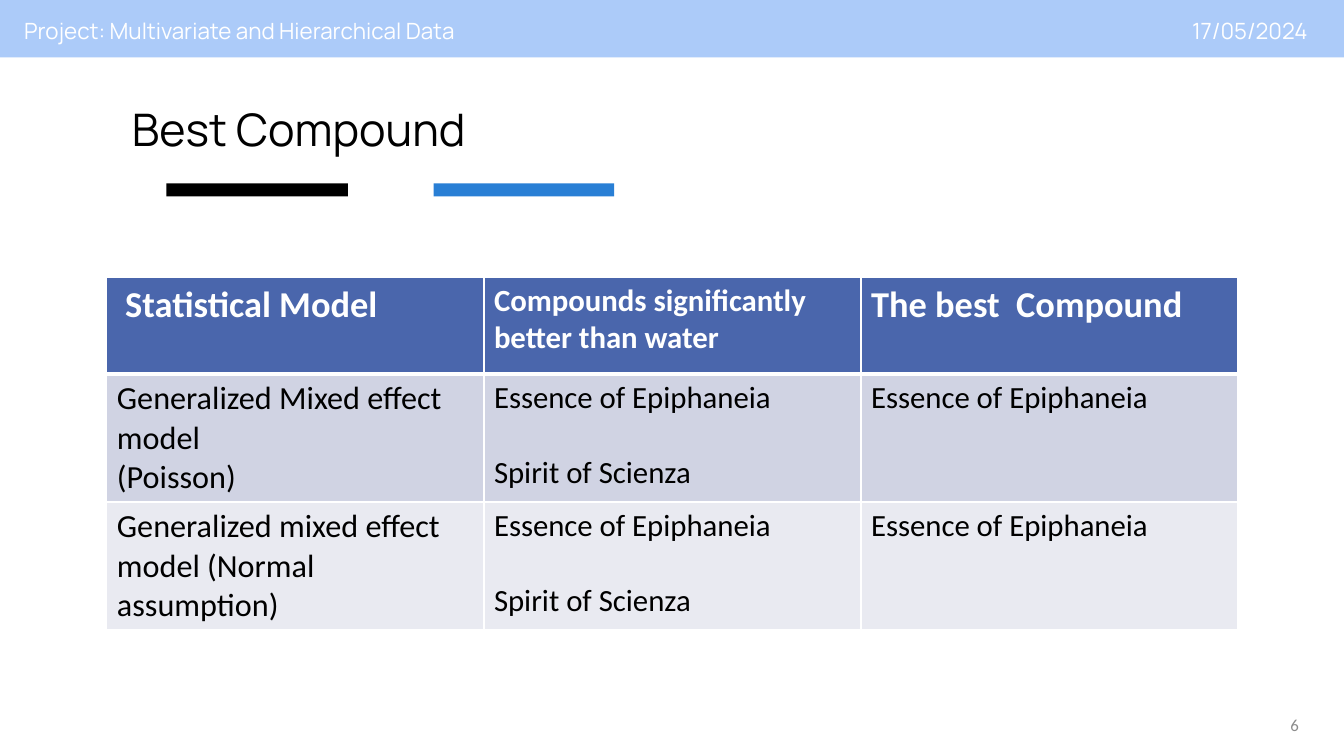
from lxml import etree
from pptx import Presentation
from pptx.dml.color import RGBColor
from pptx.enum.shapes import MSO_SHAPE as Shape
from pptx.enum.text import MSO_ANCHOR as Anchor, PP_ALIGN as Align
from pptx.oxml.ns import qn
from pptx.util import Inches, Pt

BARS = [
    (0, 0, 13.33, 0.57, "ACCBF9"),
    (4.3, 1.82, 1.79, 0.13, "297FD5"),
    (1.65, 1.82, 1.8, 0.13, "000000"),
]
TEXTS = [
    ("Project: Multivariate and Hierarchical Data\t17/05/2024", (0.11, 0.03, 13.33, 0.54), 0.13,
     {"size": 16, "name": "Manrope", "color": "FFFFFF"}, {}),
    ("Best Compound", (1.21, 0.77, 11.21, 1.08), 0.1,
     {"size": 32, "name": "Manrope", "color": "000000"}, {"line_spacing": 0.9}),
    ("6", (12.18, 6.91, 0.8, 0.57), 0.1,
     {"size": 12, "name": "Calibri", "color": "8C8C8C"}, {"alignment": Align.RIGHT}),
]
DATE_TAB = 12.73

TABLE_PLACE = (1.06, 2.75, 11.21, 3.46)
COLUMN_WIDTH = 3.74
ROW_HEIGHTS = [0.96, 1.27, 1.27]
ROW_FILLS = ["4A66AC", "D0D3E3", "E9EAF1"]
ROW_SIZES = [(26, 22, 26), (23, 22, 22), (23, 22, 22)]
COMPOUND_GAP = 27
ROWS = [
    [[" Statistical Model"], ["Compounds significantly better than water"], ["The best  Compound"]],
    [["Generalized Mixed effect model", "(Poisson)"],
     ["Essence of Epiphaneia", "Spirit of Scienza"], ["Essence of Epiphaneia"]],
    [["Generalized mixed effect model (Normal assumption)"],
     ["Essence of Epiphaneia", "Spirit of Scienza"], ["Essence of Epiphaneia"]],
]


def paint(color_format, code):
    color_format.rgb = RGBColor.from_string(code)


def fill_solid(item, code):
    item.fill.solid()
    paint(item.fill.fore_color, code)


def write(para, text, style):
    span = para.add_run()
    span.text = text
    values = dict(style, size=Pt(style["size"]))
    paint(span.font.color, values.pop("color"))
    for name, value in values.items():
        setattr(span.font, name, value)


def add_bar(page, left, top, width, height, code):
    bar = page.shapes.add_shape(Shape.RECTANGLE, *map(Inches, (left, top, width, height)))
    bar.shadow.inherit = False
    fill_solid(bar, code)
    bar.line.fill.background()


def add_text(page, text, place, inset, style, layout):
    box = page.shapes.add_textbox(*map(Inches, place))
    frame = box.text_frame
    settings = {"word_wrap": True, "vertical_anchor": Anchor.MIDDLE}
    settings.update({f"margin_{side}": Inches(inset) for side in ("left", "top", "right", "bottom")})
    for name, value in settings.items():
        setattr(frame, name, value)
    para = frame.paragraphs[0]
    for name, value in layout.items():
        setattr(para, name, value)
    if "\t" in text:
        tabs = etree.SubElement(para._p.get_or_add_pPr(), qn("a:tabLst"))
        etree.SubElement(tabs, qn("a:tab"), pos=str(Inches(DATE_TAB)), algn="r")
    write(para, text, style)


def add_borders(cell, widths):
    properties = cell._tc.get_or_add_tcPr()
    for index, (side, width) in enumerate(widths.items()):
        line = etree.Element(qn(f"a:ln{side}"), w=str(Pt(width)))
        solid = etree.SubElement(line, qn("a:solidFill"))
        etree.SubElement(solid, qn("a:srgbClr"), val="FFFFFF")
        properties.insert(index, line)


def add_models_table(page):
    frame = page.shapes.add_table(len(ROWS), len(ROWS[0]), *map(Inches, TABLE_PLACE))
    table = frame.table
    table.horz_banding = False
    for column in table.columns:
        column.width = Inches(COLUMN_WIDTH)
    for row, height in enumerate(ROW_HEIGHTS):
        table.rows[row].height = Inches(height)
        header = row == 0
        borders = {"L": 1, "R": 1, "T": 3 if row == 1 else 1, "B": 3 if header else 1}
        for column, lines in enumerate(ROWS[row]):
            cell = table.cell(row, column)
            fill_solid(cell, ROW_FILLS[row])
            add_borders(cell, borders)
            style = {"size": ROW_SIZES[row][column], "name": "Calibri", "bold": header,
                     "color": "FFFFFF" if header else "000000"}
            for index, text in enumerate(lines):
                para = cell.text_frame.add_paragraph() if index else cell.text_frame.paragraphs[0]
                if index and column == 1:
                    para.space_before = Pt(COMPOUND_GAP)
                write(para, text, style)


def main():
    """Build the best compound slide."""
    deck = Presentation()
    deck.slide_width, deck.slide_height = Inches(13.33), Inches(7.5)
    page = deck.slides.add_slide(deck.slide_layouts[6])
    for bar in BARS:
        add_bar(page, *bar)
    for text in TEXTS:
        add_text(page, *text)
    add_models_table(page)
    deck.save("out.pptx")


if __name__ == "__main__":
    main()
